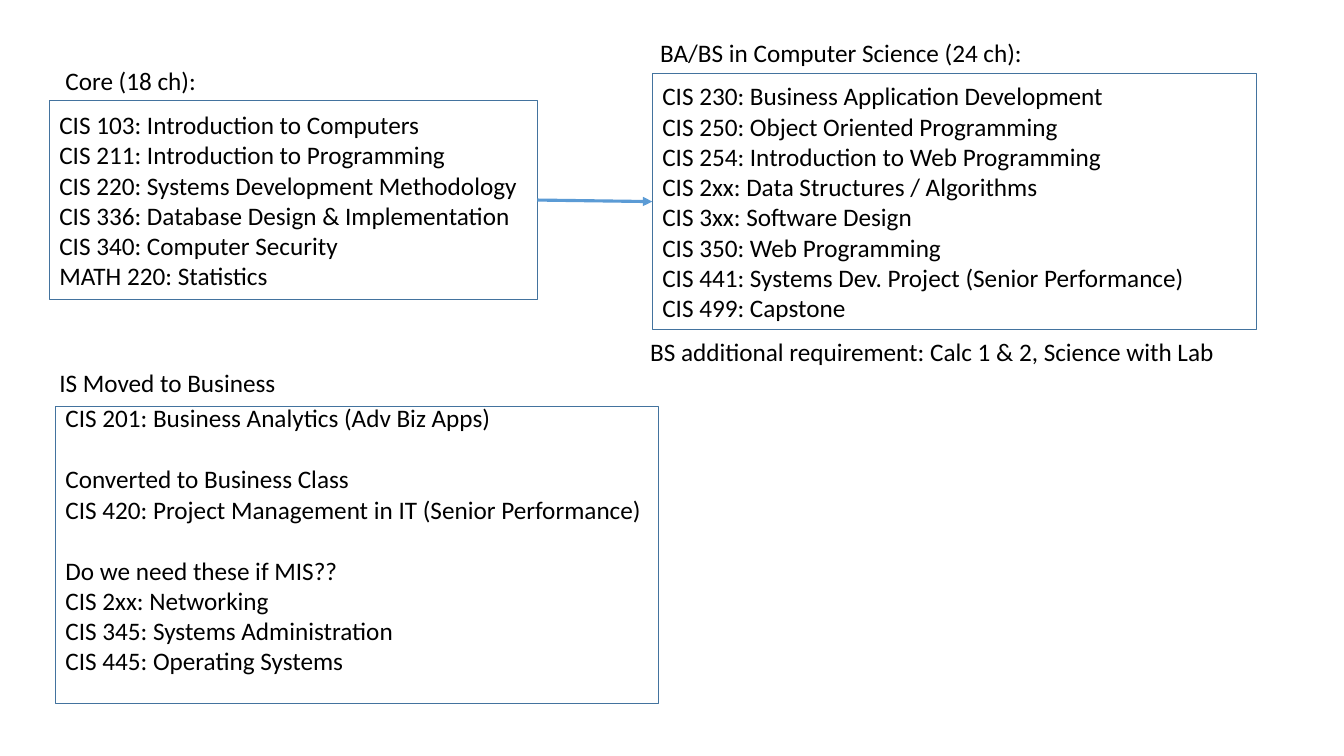
import pptx
import pptx.util
import pptx.dml.color
import pptx.enum.shapes
import pptx.enum.text
import pptx.oxml.ns
import lxml.etree

Inches = pptx.util.Inches
Pt = pptx.util.Pt
LINE = 22  # height of one text line in points

CORE = [
    "CIS 103: Introduction to Computers",
    "CIS 211: Introduction to Programming",
    "CIS 220: Systems Development Methodology",
    "CIS 336: Database Design & Implementation",
    "CIS 340: Computer Security",
    "MATH 220: Statistics",
]
MAJOR = [
    "CIS 230: Business Application Development",
    "CIS 250: Object Oriented Programming",
    "CIS 254: Introduction to Web Programming",
    "CIS 2xx: Data Structures / Algorithms",
    "CIS 3xx: Software Design",
    "CIS 350: Web Programming",
    "CIS 441: Systems Dev. Project (Senior Performance)",
    "CIS 499: Capstone",
]
MOVED = [
    "CIS 201: Business Analytics (Adv Biz Apps)",
    "Converted to Business Class",
    "CIS 420: Project Management in IT (Senior Performance)",
    "Do we need these if MIS??",
    "CIS 2xx: Networking",
    "CIS 345: Systems Administration",
    "CIS 445: Operating Systems",
]
HEADS = [
    ("Core (18 ch):", 0.55, 0.6, 1.52),
    ("IS Moved to Business", 0.49, 3.59, 2.37),
    ("BA/BS in Computer Science (24 ch):", 6.45, 0.32, 3.84),
    ("BS additional requirement: Calc 1 & 2, Science with Lab", 6.35, 3.29, 5.87),
]


def tint(code):
    """Turn a hex string into a colour."""
    return pptx.dml.color.RGBColor.from_string(code)


def write(frame, lines, size=18, font="Calibri", color="000000", gaps=()):
    """Fill a text frame, with a line of space before each index in gaps."""
    for i, line in enumerate(lines):
        para = frame.paragraphs[0] if i == 0 else frame.add_paragraph()
        para.alignment = pptx.enum.text.PP_ALIGN.LEFT
        if i in gaps:
            para.space_before = Pt(LINE)
        run = para.add_run()
        run.text = line
        run.font.size = Pt(size)
        run.font.name = font
        run.font.color.rgb = tint(color)


class Chart:
    """Hold the style and the slide of the course plan."""

    edge = "43739E"
    arrow = "5B9BD5"

    def __init__(self, slide):
        """Keep the slide to draw on."""
        self.shapes = slide.shapes

    def box(self, lines, x, y, w, h, foot=0.05, gaps=()):
        """Draw an outlined course list."""
        kind = pptx.enum.shapes.MSO_SHAPE.RECTANGLE
        shape = self.shapes.add_shape(kind, Inches(x), Inches(y), Inches(w), Inches(h))
        shape.shadow.inherit = False
        shape.fill.background()
        shape.line.color.rgb = tint(self.edge)
        shape.line.width = Pt(1)
        frame = shape.text_frame
        frame.word_wrap = True
        frame.vertical_anchor = pptx.enum.text.MSO_ANCHOR.MIDDLE
        frame.margin_bottom = Inches(foot)
        write(frame, lines, gaps=gaps)
        return shape

    def label(self, text, x, y, w):
        """Add a one-line label."""
        shape = self.shapes.add_textbox(Inches(x), Inches(y), Inches(w), Inches(0.4))
        shape.text_frame.word_wrap = False
        write(shape.text_frame, [text])

    def link(self, start, end):
        """Draw an arrow from the right side of start to the left side of end."""
        kind = pptx.enum.shapes.MSO_CONNECTOR.STRAIGHT
        line = self.shapes.add_connector(kind, 0, 0, 0, 0)
        line.begin_connect(start, 3)
        line.end_connect(end, 1)
        line.line.color.rgb = tint(self.arrow)
        line.line.width = Pt(2.25)
        name = pptx.oxml.ns.qn
        tip = lxml.etree.SubElement(line.line._get_or_add_ln(), name("a:tailEnd"))
        tip.set("type", "triangle")
        lxml.etree.SubElement(line._element.spPr, name("a:effectLst"))


deck = pptx.Presentation()
deck.slide_width = Inches(13.33)
deck.slide_height = Inches(7.5)
plan = Chart(deck.slides.add_slide(deck.slide_layouts[6]))

core = plan.box(CORE, 0.49, 1, 4.84, 1.97)
plan.box(MOVED, 0.55, 4.03, 5.98, 2.95, foot=0.36, gaps=(1, 3))
major = plan.box(MAJOR, 6.47, 0.73, 5.99, 2.54)
plan.link(core, major)
for head in HEADS:
    plan.label(*head)

deck.save("out.pptx")
